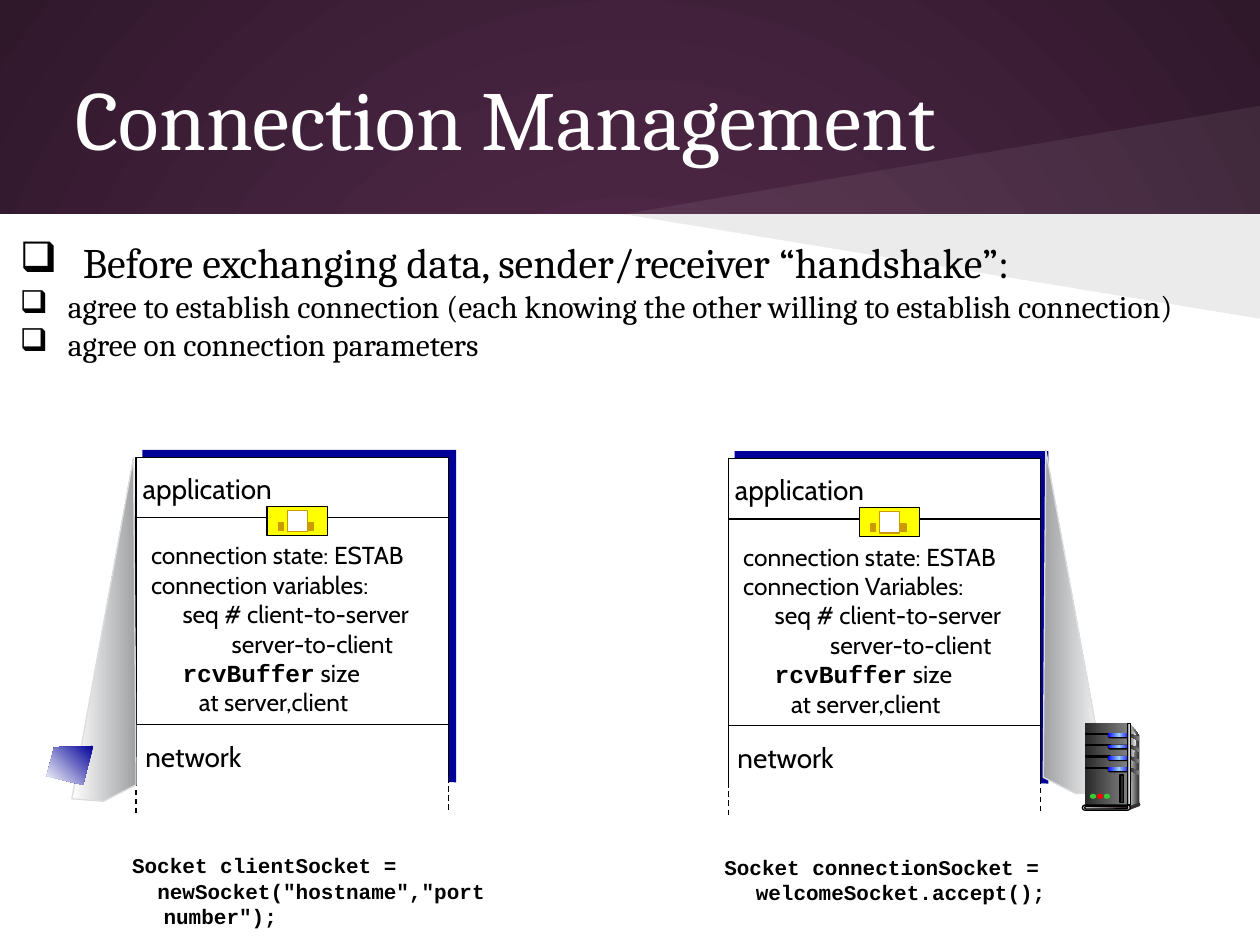
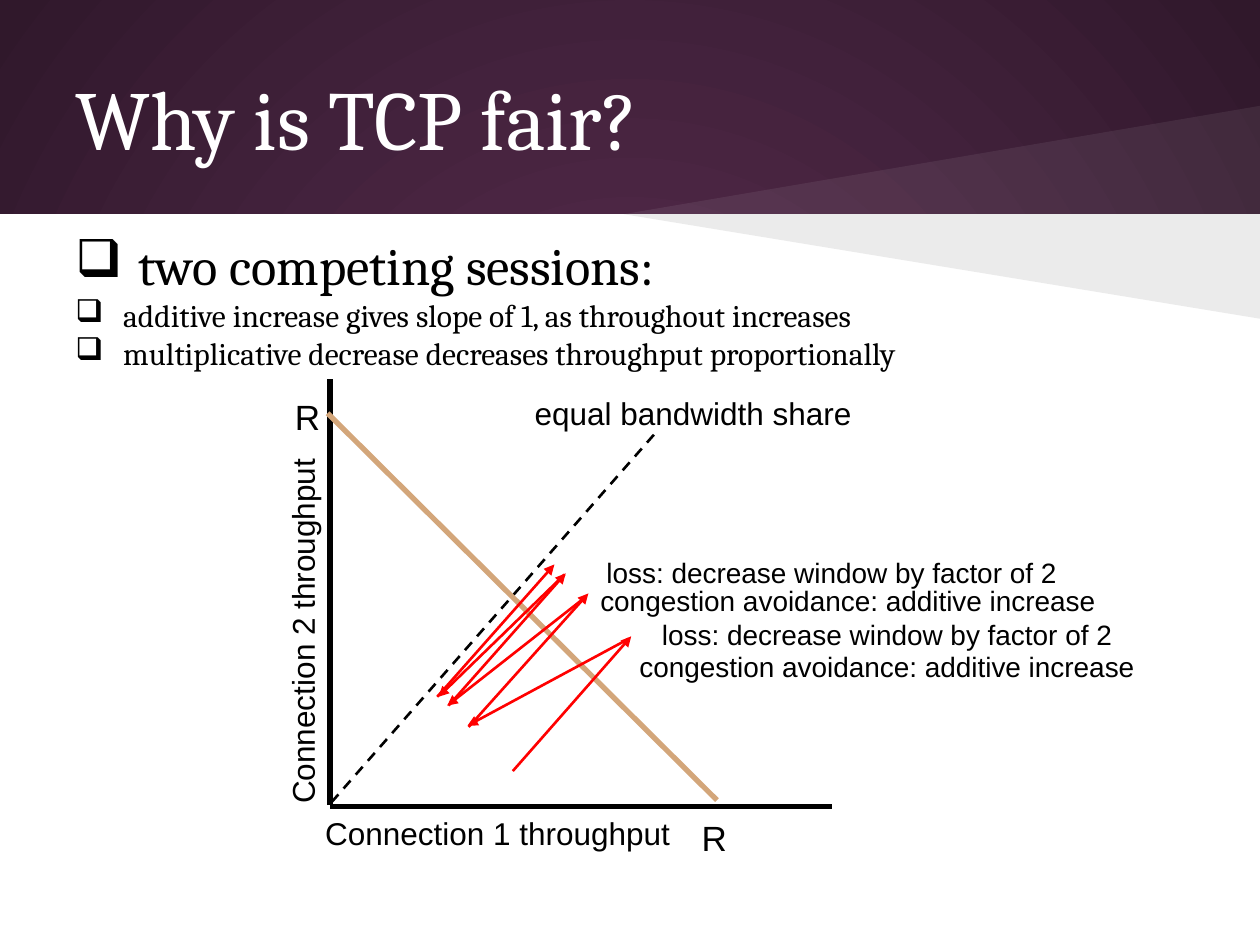
from lxml.etree import SubElement
from pptx import Presentation
from pptx.dml.color import RGBColor
from pptx.enum.dml import MSO_LINE
from pptx.enum.shapes import MSO_CONNECTOR, MSO_SHAPE as SHAPE
from pptx.enum.text import MSO_ANCHOR as ANCHOR, PP_ALIGN as ALIGN
from pptx.oxml.ns import qn
from pptx.util import Inches, Pt

WIDTH, HEIGHT, BAND = 10, 7.5, 1.7
BLACK, WHITE, NAVY, RED = "000000", "FFFFFF", "000099", "FF0000"
YELLOW, GOLD, TAN, SILVER = "FFFF00", "CC9900", "D3A67A", "DDDDDD"
GREEN, COAL, SMOKE, GREY = "33CC33", "292929", "333333", "808080"
BACKDROP = ("592D50", "30182B")
CALLOUT = ("9EA0A2", WHITE)
GLOW = ("0000FF", "99CCFF", "0000FF")
SERIF, LABEL, CODE, PLAIN = "Cambria", "Cabin", "Courier New", "Arial"

HANDSHAKE = {
    "title": "Connection Management",
    "at": (0.06, 1.78, 9.5, 1.78),
    "size": 24,
    "lead": "Before exchanging data, sender/receiver “handshake”:",
    "points": ["agree to establish connection (each knowing the other willing to establish connection)",
               "agree on connection parameters"],
}
FAIRNESS = {
    "title": "Why is TCP fair?",
    "at": (0.5, 1.75, 9, 5.43),
    "size": 30,
    "lead": "two competing sessions:",
    "points": ["additive increase gives slope of 1, as throughout increases",
               "multiplicative decrease decreases throughput proportionally"],
}
HOSTS = [
    {"x": 1.08, "y": 3.63, "variables": "connection variables:", "reply": 0.64,
     "code": [("Socket clientSocket =", {"left": 0.25, "hang": 0.25}),
              ('newSocket("hostname","port number");', {"left": 0.25, "hang": 0.05})]},
    {"x": 5.78, "y": 3.64, "variables": "connection Variables:", "reply": 0.69,
     "code": [("Socket connectionSocket = welcomeSocket.accept();", {"left": 0.25, "hang": 0.25})]},
]
CALLOUT_EDGE = [(0.57, 6.34), (1.06, 3.63), (1.08, 6.23), (0.82, 6.36)]
MIRROR, CALLOUT_RISE = 9.36, 0.06
SCREEN = [(0.74, 5.92), (0.43, 5.93), (0.37, 6.16), (0.66, 6.23)]

SERVER_SIDE = [
    ([(8.97, 5.75), (9.04, 5.83), (9.04, 6.37), (8.95, 6.4)], (SILVER, SMOKE)),
    ([(8.97, 5.78), (9.02, 5.84), (8.98, 6.1), (8.97, 6.38)], (GREY, "F8F8F8")),
    ([(8.96, 6.4), (8.96, 6.43), (9.04, 6.4), (9.04, 6.37)], SMOKE),
]
SERVER_FRONT = (8.61, 5.74, 0.34, 0.65)
BAYS, BAY_TOP, BAY_STEP = 4, 5.82, 0.09
SERVER_TRIM = [
    (SHAPE.RECTANGLE, (8.95, 5.74, 0.02, 0.65), (SMOKE, SILVER, SMOKE), BLACK),
    (SHAPE.OVAL, (9.03, 6.37, 0.02, 0.03), SMOKE, None),
    (SHAPE.ROUNDED_RECTANGLE, (8.59, 6.39, 0.38, 0.04), SILVER, BLACK),
    (SHAPE.ROUNDED_RECTANGLE, (8.61, 6.4, 0.34, 0.02), ("DFDFDF", "30182B"), BLACK),
    (SHAPE.RECTANGLE, (8.89, 6.15, 0.03, 0.22), COAL, BLACK),
]
LAMPS = [GREEN, RED, GREEN]

GRAPH_LINES = [
    ((2.62, 6.4), (6.6, 6.4), {"width": 3}),
    ((2.62, 6.39), (2.62, 3.01), {"width": 3}),
    ((5.19, 3.45), (2.62, 6.38), {"width": 1.5, "dash": True}),
    ((2.6, 3.28), (5.69, 6.35), {"width": 3, "color": TAN}),
]
SAWTOOTH = [
    ((4.07, 6.12), (5.01, 5.05)), ((4.99, 5.07), (3.71, 5.76)),
    ((3.72, 5.77), (4.67, 4.71)), ((4.62, 4.76), (3.55, 5.6)),
    ((3.56, 5.6), (4.49, 4.55)), ((4.48, 4.56), (3.48, 5.53)),
    ((3.47, 5.53), (4.4, 4.48)),
]
INCREASE = "congestion avoidance: additive increase"
LOSS = "loss: decrease window by factor of 2"
GRAPH_LABELS = [
    ("R", (2.22, 3.09, 0.44, 0.43), {"size": 20}),
    ("R", (5.45, 6.43, 0.44, 0.43), {"size": 20}),
    ("equal bandwidth share", (3.56, 3.08, 3.88, 0.4), {"size": 18}),
    ("Connection 1 throughput", (2.01, 6.41, 3.88, 0.4), {"size": 18}),
    ("Connection 2 throughput", (0.46, 4.81, 3.88, 0.4), {"size": 18, "turn": 270}),
    (INCREASE, (4.56, 5.11, 4.96, 0.37), {"size": 16}),
    (LOSS, (5.15, 4.85, 3.78, 0.37), {"size": 16, "wrap": False}),
    (INCREASE, (4.25, 4.58, 4.96, 0.37), {"size": 16}),
    (LOSS, (4.71, 4.36, 3.78, 0.37), {"size": 16, "wrap": False}),
]


def rgb(color):
    return RGBColor.from_string(color)


def blend(fill, element, colors, angle=None):
    fill.gradient()
    gradient = next(element.iter(qn("a:gradFill")))
    for child in list(gradient):
        gradient.remove(child)
    stops = SubElement(gradient, qn("a:gsLst"))
    for index, color in enumerate(colors):
        stop = SubElement(stops, qn("a:gs"), pos=str(index * 100000 // (len(colors) - 1)))
        SubElement(stop, qn("a:srgbClr"), val=color)
    if angle is None:
        circle = SubElement(gradient, qn("a:path"), path="circle")
        SubElement(circle, qn("a:fillToRect"), **dict.fromkeys("ltrb", "50000"))
    else:
        SubElement(gradient, qn("a:lin"), ang=str(angle * 60000), scaled="0")


def paint(shape, fill, line=None, angle=0, alpha=None):
    shape.shadow.inherit = False
    if isinstance(fill, tuple):
        blend(shape.fill, shape.fill._xPr, fill, angle)
    else:
        shape.fill.solid()
        shape.fill.fore_color.rgb = rgb(fill)
    if alpha:
        color = next(shape.fill._xPr.iter(qn("a:srgbClr")))
        SubElement(color, qn("a:alpha"), val=str(alpha * 1000))
    if line:
        shape.line.color.rgb = rgb(line)
        shape.line.width = Pt(0.75)
    else:
        shape.line.fill.background()


def block(canvas, at, fill, line=None, kind=SHAPE.RECTANGLE):
    shape = canvas.add_shape(kind, *map(Inches, at))
    if kind == SHAPE.ROUNDED_RECTANGLE:
        shape.adjustments[0] = 0.5
    paint(shape, fill, line)


def outline(canvas, points, fill, **look):
    corners = [(Inches(x), Inches(y)) for x, y in points]
    builder = canvas.build_freeform(*corners[0])
    builder.add_line_segments(corners[1:], close=True)
    paint(builder.convert_to_shape(), fill, **look)


def stroke(canvas, start, end, color=BLACK, width=0.75, dash=False, arrow=False):
    line = canvas.add_connector(MSO_CONNECTOR.STRAIGHT, *map(Inches, start + end))
    SubElement(line._element.spPr, qn("a:effectLst"))
    line.line.color.rgb = rgb(color)
    line.line.width = Pt(width)
    if dash:
        line.line.dash_style = MSO_LINE.DASH
    if arrow:
        SubElement(line.line._get_or_add_ln(), qn("a:tailEnd"), type="triangle")


def write(canvas, at, text, size=16, font=PLAIN, color=BLACK, bold=False, align=ALIGN.LEFT,
          anchor=ANCHOR.TOP, wrap=True, inset=0.05, turn=0):
    box = canvas.add_textbox(*map(Inches, at))
    box.rotation = turn
    frame = box.text_frame
    frame.word_wrap = wrap
    frame.vertical_anchor = anchor
    frame.margin_top = frame.margin_bottom = Inches(inset)
    for index, item in enumerate([text] if isinstance(text, str) else text):
        words, look = item if isinstance(item, tuple) else (item, {})
        para = frame.paragraphs[0] if index == 0 else frame.add_paragraph()
        para.alignment = align
        settings = para._p.get_or_add_pPr()
        settings.set("marL", str(Inches(look.get("left", 0))))
        settings.set("indent", str(-Inches(look.get("hang", 0))))
        if "bullet" in look:
            SubElement(SubElement(settings, qn("a:buClr")), qn("a:srgbClr"), val=color)
            SubElement(settings, qn("a:buChar"), char=look["bullet"])
        for part in [words] if isinstance(words, str) else words:
            letters, accent = part if isinstance(part, tuple) else (part, {})
            span = para.add_run()
            span.text = letters
            span.font.size = Pt(look.get("size", size))
            span.font.name = accent.get("font", font)
            span.font.bold = accent.get("bold", bold)
            span.font.color.rgb = rgb(color)


def start_page(deck, content):
    page = deck.slides.add_slide(deck.slide_layouts[6])
    blend(page.background.fill, page._element, BACKDROP)
    canvas = page.shapes
    block(canvas, (0, BAND, WIDTH, HEIGHT - BAND), WHITE)
    for edge, color, alpha in ((0.84, WHITE, 7), (2.53, BLACK, 8)):
        outline(canvas, [(WIDTH, BAND), (4.95, BAND), (WIDTH, edge)], color, alpha=alpha)
    write(canvas, (0.5, 0.3, 9, 1.25), content["title"], size=48, font=SERIF, color=WHITE,
          anchor=ANCHOR.MIDDLE, inset=0.1)
    lead = (content["lead"], {"left": 0.5, "hang": 0.5, "bullet": "❑", "size": content["size"]})
    points = [(point, {"left": 0.38, "hang": 0.38, "bullet": "❑"}) for point in content["points"]]
    write(canvas, content["at"], [lead] + points, size=18, font=SERIF, inset=0.1)
    return canvas


def draw_socket(canvas, x, y):
    icon = canvas.add_group_shape().shapes
    block(icon, (x, y, 0.48, 0.23), YELLOW, BLACK)
    block(icon, (x + 0.16, y + 0.03, 0.16, 0.17), WHITE, GOLD)
    for shift in (0.33, 0.09):
        block(icon, (x + shift, y + 0.13, 0.04, 0.06), GOLD, GOLD)


def draw_host(canvas, host):
    x, y = host["x"], host["y"]
    right = x + 2.48
    block(canvas, (x + 0.05, y - 0.06, 2.49, 2.64), NAVY)
    block(canvas, (x, y, 2.48, 2.7), WHITE, BLACK)
    for drop in (0.48, 2.12):
        stroke(canvas, (x, y + drop), (right, y + drop))
    state = [
        "connection state: ESTAB",
        host["variables"],
        ("seq # client-to-server", {"left": 0.25}),
        ("server-to-client", {"left": host["reply"]}),
        ([("rcvBuffer", {"font": CODE, "bold": True}), " size"], {"left": 0.25}),
        ("at server,client", {"left": 0.38}),
    ]
    write(canvas, (x + 0.02, y + 0.61, 2.55, 1.73), state, size=14, font=LABEL)
    draw_socket(canvas, x + 1.04, y + 0.39)
    for name, left, drop, width in (("application", -0.06, 0.06, 1.25), ("network", -0.04, 2.19, 0.99)):
        write(canvas, (x + left, y + drop, width, 0.37), name, font=LABEL,
              align=ALIGN.CENTER, wrap=False)
    block(canvas, (x - 0.03, y + 2.58, 2.55, 0.2), WHITE)
    for side, drop in ((x, 2.57), (right, 2.54)):
        stroke(canvas, (side, y + drop), (side, y + drop + 0.26), dash=True)
    write(canvas, (x - 0.13, y + 3.09, 3.16, 0.7), host["code"], size=12, font=CODE, bold=True)


def draw_server(canvas):
    tower = canvas.add_group_shape().shapes
    for points, fill in SERVER_SIDE:
        outline(tower, points, fill)
    block(tower, SERVER_FRONT, (COAL, GREY))
    for bay in range(BAYS):
        y = BAY_TOP + bay * BAY_STEP
        block(tower, (8.62, y, 0.19, 0.01), BLACK, BLACK)
        block(tower, (8.79, y, 0.19, 0.04), BLACK, kind=SHAPE.ROUNDED_RECTANGLE)
        block(tower, (8.79, y, 0.18, 0.03), GLOW, kind=SHAPE.ROUNDED_RECTANGLE)
        outline(tower, [(8.96, y), (9.04, y + 0.03), (9.04, y + 0.06), (8.96, y + 0.02)], (COAL, GREY))
    for kind, at, fill, line in SERVER_TRIM:
        block(tower, at, fill, line, kind)
    for index, color in enumerate(LAMPS):
        block(tower, (8.65 + index * 0.055, 6.3, 0.05, 0.04), color, kind=SHAPE.OVAL)


def build_handshake(deck):
    canvas = start_page(deck, HANDSHAKE)
    for host in HOSTS:
        draw_host(canvas, host)
    mirrored = [(MIRROR - x, y - CALLOUT_RISE) for x, y in CALLOUT_EDGE]
    outline(canvas, CALLOUT_EDGE, CALLOUT[::-1], line=SILVER)
    outline(canvas, mirrored, CALLOUT, line=SILVER)
    outline(canvas, SCREEN, (NAVY, WHITE), angle=135)
    draw_server(canvas)


def build_fairness(deck):
    canvas = start_page(deck, FAIRNESS)
    for start, end, look in GRAPH_LINES:
        stroke(canvas, start, end, **look)
    for text, at, look in GRAPH_LABELS:
        write(canvas, at, text, align=ALIGN.CENTER, **look)
    for start, end in SAWTOOTH:
        stroke(canvas, start, end, color=RED, width=1.5, arrow=True)


def main():
    deck = Presentation()
    deck.slide_width, deck.slide_height = Inches(WIDTH), Inches(HEIGHT)
    build_handshake(deck)
    build_fairness(deck)
    deck.save("out.pptx")


if __name__ == "__main__":
    main()
